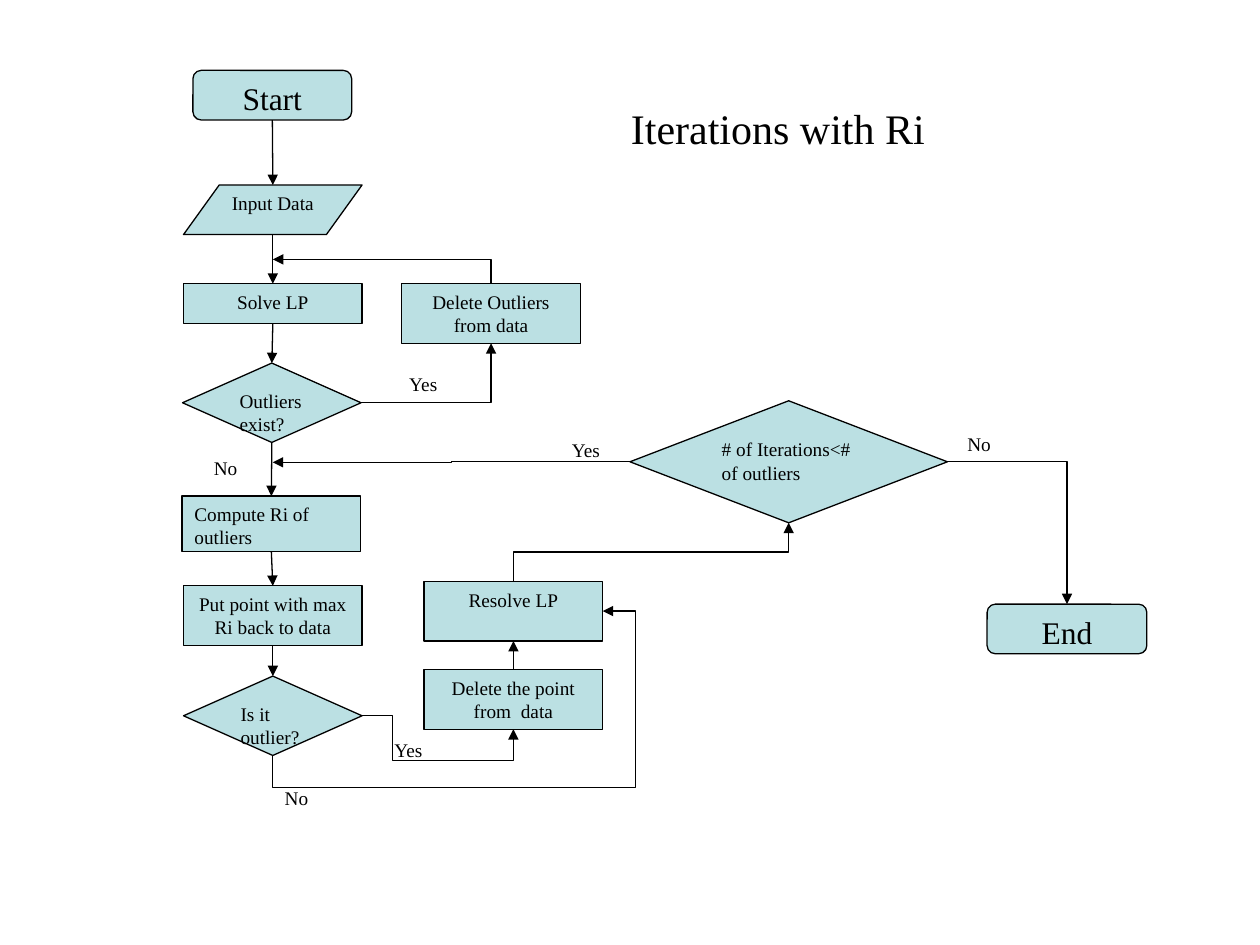
"""Flowchart of outlier removal by repeated LP solves, on one slide."""
import pptx
import pptx.dml.color
import pptx.enum.shapes
import pptx.enum.text
import pptx.oxml.ns
import pptx.util
from lxml import etree

Cm = pptx.util.Cm
Pt = pptx.util.Pt
qn = pptx.oxml.ns.qn
PRESET = pptx.enum.shapes.MSO_SHAPE
LINK = pptx.enum.shapes.MSO_CONNECTOR
ALIGN = pptx.enum.text.PP_ALIGN
FIT = pptx.enum.text.MSO_AUTO_SIZE

COLOURS = {"ink": "000000", "step": "BBE0E3"}
SIDES = {"top": (0.5, 0), "bottom": (0.5, 1), "left": (0, 0.5), "right": (1, 0.5)}
FRAME = {
    "word_wrap": True,
    "vertical_anchor": pptx.enum.text.MSO_ANCHOR.TOP,
    "margin_left": Cm(0.25),
    "margin_right": Cm(0.25),
    "margin_top": Cm(0.13),
    "margin_bottom": Cm(0.13),
}


class Flowchart:
    def __init__(self, slide, font="Times New Roman", line_width=0.75):
        self.slide = slide
        self.font = font
        self.line_width = Pt(line_width)

    def colour(self, name):
        return pptx.dml.color.RGBColor.from_string(COLOURS[name])

    def apply(self, target, values):
        for name, value in values.items():
            setattr(target, name, value)

    def set_text(self, holder, text, size, align, fit):
        frame = holder.text_frame
        frame.text = text
        self.apply(frame, {**FRAME, "auto_size": fit})
        paragraph = frame.paragraphs[0]
        paragraph.alignment = align
        self.apply(paragraph.runs[0].font, {"name": self.font, "size": Pt(size)})
        paragraph.runs[0].font.color.rgb = self.colour("ink")

    def outline(self, line):
        line.color.rgb = self.colour("ink")
        line.width = self.line_width

    def title(self, text, left, top, width, height):
        heading = self.slide.shapes.title
        self.apply(heading, {"left": Cm(left), "top": Cm(top),
                             "width": Cm(width), "height": Cm(height)})
        self.set_text(heading, text, 24, ALIGN.LEFT, FIT.NONE)

    def step(self, text, preset, left, top, width, height, size=11, align=ALIGN.CENTER):
        shape = self.slide.shapes.add_shape(preset, Cm(left), Cm(top), Cm(width), Cm(height))
        shape.shadow.inherit = False
        shape.fill.solid()
        shape.fill.fore_color.rgb = self.colour("step")
        self.outline(shape.line)
        self.set_text(shape, text, size, align, FIT.NONE)
        return shape

    def label(self, text, left, top):
        caption = self.slide.shapes.add_textbox(Cm(left), Cm(top), Cm(1.2), Cm(0.74))
        self.set_text(caption, text, 11, ALIGN.LEFT, FIT.SHAPE_TO_FIT_TEXT)

    def side(self, shape, name):
        across, down = SIDES[name]
        return (shape.left + int(shape.width * across), shape.top + int(shape.height * down))

    def finish(self, connector):
        self.outline(connector.line)
        properties = connector._element.spPr
        head = etree.SubElement(properties.find(qn("a:ln")), qn("a:tailEnd"))
        head.set("type", "triangle")
        etree.SubElement(properties, qn("a:effectLst"))

    def arrow(self, start, end):
        self.finish(self.slide.shapes.add_connector(LINK.STRAIGHT, *start, *end))

    def elbow(self, start, end, segments, turn=0, bends=()):
        dx, dy = end[0] - start[0], end[1] - start[1]
        run, rise = {0: (dx, dy), 90: (dy, -dx), 270: (-dy, dx)}[turn]
        mid_x, mid_y = (start[0] + end[0]) // 2, (start[1] + end[1]) // 2
        left, top = mid_x - run // 2, mid_y - rise // 2
        connector = self.slide.shapes.add_connector(
            LINK.ELBOW, left, top, left + run, top + rise)
        properties = connector._element.spPr
        properties.find(qn("a:xfrm")).set("rot", str(turn * 60000))
        geometry = properties.find(qn("a:prstGeom"))
        geometry.set("prst", f"bentConnector{segments}")
        for number, bend in enumerate(bends, 1):
            guide = etree.SubElement(geometry.find(qn("a:avLst")), qn("a:gd"))
            guide.set("name", f"adj{number}")
            guide.set("fmla", f"val {round(bend * 100000)}")
        self.finish(connector)


def main():
    deck = pptx.Presentation()
    deck.slide_width, deck.slide_height = Cm(25.4), Cm(19.05)
    chart = Flowchart(deck.slides.add_slide(deck.slide_layouts[5]))
    side = chart.side
    chart.title("Iterations with Ri", 12.47, 1.93, 10.44, 1.27)

    process, decision = PRESET.FLOWCHART_PROCESS, PRESET.FLOWCHART_DECISION
    terminal = PRESET.ROUNDED_RECTANGLE
    start = chart.step("Start", terminal, 3.89, 1.42, 3.2, 1, size=18)
    read_data = chart.step("Input Data", PRESET.FLOWCHART_DATA, 3.7, 3.73, 3.6, 1)
    solve = chart.step("Solve LP", process, 3.7, 5.72, 3.6, 0.8)
    any_outliers = chart.step("Outliers exist?", decision, 3.68, 7.32, 3.6, 1.6,
                              align=ALIGN.LEFT)
    compute = chart.step("Compute Ri of  outliers", process, 3.67, 10, 3.6, 1.12,
                         align=ALIGN.LEFT)
    put_back = chart.step("Put point with max Ri back to data", process,
                          3.7, 11.81, 3.6, 1.2)
    is_outlier = chart.step("Is it outlier?", decision, 3.7, 13.63, 3.6, 1.6,
                            align=ALIGN.LEFT)
    delete_all = chart.step("Delete Outliers from data", process, 8.1, 5.72, 3.6, 1.2)
    delete_point = chart.step("Delete the point from  data", process, 8.55, 13.5, 3.6, 1.2)
    resolve = chart.step("Resolve LP", process, 8.55, 11.72, 3.6, 1.2)
    count = chart.step("# of Iterations<# of outliers", decision, 12.7, 8.08, 6.4, 2.46,
                       align=ALIGN.LEFT)
    end = chart.step("End", terminal, 19.9, 12.18, 3.22, 1, size=18)

    column = [start, read_data, solve, any_outliers, compute, put_back, is_outlier]
    for upper, lower in zip(column, column[1:]):
        chart.arrow(side(upper, "bottom"), side(lower, "top"))
    chart.arrow(side(delete_point, "top"), side(resolve, "bottom"))

    before_solve, before_compute = (Cm(5.5), Cm(5.23)), (Cm(5.5), Cm(9.32))
    chart.elbow(side(any_outliers, "right"), side(delete_all, "bottom"), 2)
    chart.elbow(side(delete_all, "top"), before_solve, 2, turn=270)
    chart.elbow(side(is_outlier, "right"), side(delete_point, "bottom"), 4,
                bends=(0.2, 3.33))
    chart.elbow(side(is_outlier, "bottom"), side(resolve, "right"), 4, turn=90,
                bends=(-0.22, 1.1))
    chart.elbow(side(resolve, "top"), side(count, "bottom"), 3, turn=90, bends=(0.5,))
    chart.elbow(side(count, "left"), before_compute, 3, bends=(0.5,))
    chart.elbow(side(count, "right"), side(end, "top"), 2)

    for answer, left, top in [
        ("Yes", 8, 7.37), ("No", 4.06, 9.07), ("Yes", 7.7, 14.76),
        ("No", 5.49, 15.72), ("Yes", 11.28, 8.71), ("No", 19.25, 8.59),
    ]:
        chart.label(answer, left, top)
    deck.save("out.pptx")


if __name__ == "__main__":
    main()
